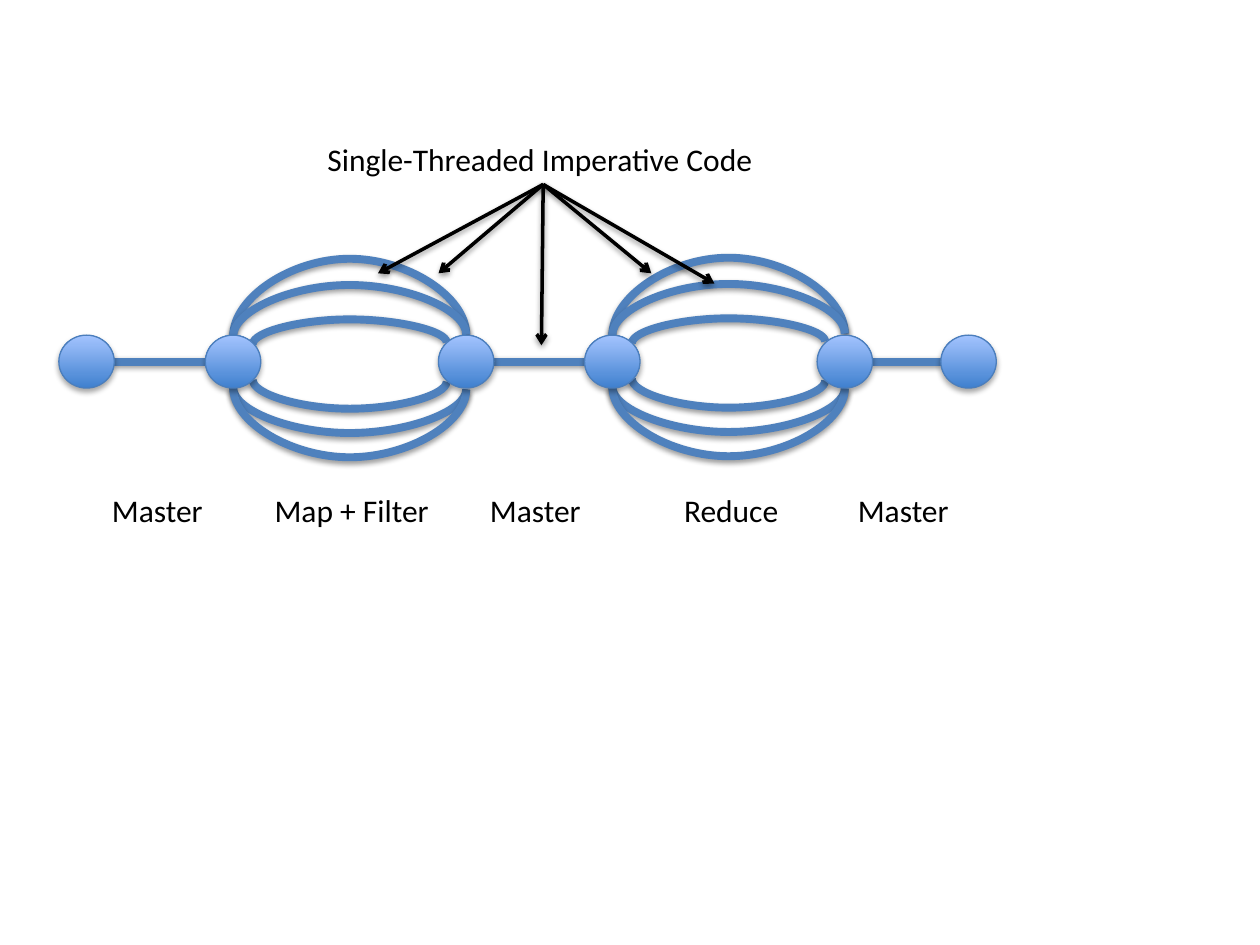
from lxml import etree
from pptx import Presentation
from pptx.dml.color import RGBColor
from pptx.enum.shapes import MSO_CONNECTOR, MSO_SHAPE
from pptx.oxml.ns import qn
from pptx.util import Pt

STRAIGHT = MSO_CONNECTOR.STRAIGHT
CURVE = MSO_CONNECTOR.CURVE
OVAL = MSO_SHAPE.OVAL

FONT = "Calibri"
BLACK = "000000"
LINK_BLUE = "4F81BD"
NODE_LINE = "4B7EBC"
NODE_BOTTOM, NODE_TOP = "3F80CE", "A4C4FF"

RADIUS_X, RADIUS_Y = 15.84, 15.12
DIAGONAL = 0.707  # where a 45 degree line leaves a node
CENTRE_Y = 206.64
NODE_CENTRES = (49.5, 133.2, 266.4, 349.9, 482.8, 553.5)
BUNDLES = ((133.2, 266.4, 206.9), (349.9, 482.8, 206.3))  # left, right, centre y
LINKS = ((0, 1), (2, 3), (4, 5))
UPPER_DEPTHS, LOWER_DEPTHS = (44.75, 29.63), (26.14, 40.09)
UPPER_INNER_DEPTH, LOWER_INNER_DEPTH = 14.29, 16.61

LABEL_TOP = 277.2
LABELS = (("Master", 56.9, 67.7), ("Map + Filter", 149.8, 103.7),
          ("Master", 272.9, 67.7), ("Reduce", 383.8, 69.1),
          ("Master", 483.1, 67.7))  # text, left, width
ARROW_START = (310.4, 105.4)
ARROW_TIPS = ((309.4, 197.3), (372.2, 156.2), (408.2, 162),
              (250.6, 156.2), (216, 156.2))


def color(hex_string):
    return RGBColor.from_string(hex_string)


def add_shadow(shape, distance, opacity):
    """Give the shape a soft shadow that falls straight down."""
    effects = etree.SubElement(shape.element.spPr, qn("a:effectLst"))
    shadow = etree.SubElement(
        effects, qn("a:outerShdw"), blurRad=str(Pt(3.15)),
        dist=str(Pt(distance)), dir="5400000", rotWithShape="0")
    black = etree.SubElement(shadow, qn("a:srgbClr"), val=BLACK)
    etree.SubElement(black, qn("a:alpha"), val=str(opacity * 1000))


def add_line(slide, kind, start, end, line_color, width):
    ends = [Pt(value) for value in (*start, *end)]
    connector = slide.shapes.add_connector(kind, *ends)
    connector.line.color.rgb = color(line_color)
    connector.line.width = Pt(width)
    add_shadow(connector, 1.6, 38)
    return connector


def add_arc(slide, left, right, y, depth, upward):
    """Bow a curve from left to right; its box is one point wide and turned."""
    middle, half_span = (left + right) / 2, (right - left) / 2
    arc = add_line(slide, CURVE, (middle - 0.5, y - half_span),
                   (middle + 0.5, y + half_span), LINK_BLUE, 4.5)
    properties = arc.element.spPr
    transform = properties.find(qn("a:xfrm"))
    transform.set("rot", str((90 if upward else 270) * 60000))
    transform.set("flipH", "1")
    if upward:
        transform.set("flipV", "1")
    adjustments = properties.find(qn("a:prstGeom")).get_or_add_avLst()
    etree.SubElement(adjustments, qn("a:gd"), name="adj1",
                     fmla=f"val {round(depth * 100000)}")


def add_bundle(slide, left, right, centre_y):
    """Draw the six parallel threads between two nodes."""
    inset, rise = RADIUS_X * DIAGONAL, RADIUS_Y * DIAGONAL
    for depth in UPPER_DEPTHS:
        add_arc(slide, left, right, centre_y - RADIUS_Y, depth, True)
    for depth in LOWER_DEPTHS:
        add_arc(slide, left, right, centre_y + RADIUS_Y, depth, False)
    add_arc(slide, left + inset, right - inset, centre_y - rise,
            UPPER_INNER_DEPTH, True)
    add_arc(slide, left + inset, right - inset, centre_y + rise,
            LOWER_INNER_DEPTH, False)


def add_node(slide, centre_x):
    node = slide.shapes.add_shape(
        OVAL, Pt(centre_x - RADIUS_X), Pt(CENTRE_Y - RADIUS_Y),
        Pt(2 * RADIUS_X), Pt(2 * RADIUS_Y))
    node.fill.gradient()
    node.fill.gradient_angle = 90
    for stop, stop_color in zip(node.fill.gradient_stops, (NODE_BOTTOM, NODE_TOP)):
        stop.color.rgb = color(stop_color)
    node.line.color.rgb = color(NODE_LINE)
    node.line.width = Pt(0.75)
    add_shadow(node, 1.8, 35)


def add_label(slide, text, left, top, width):
    box = slide.shapes.add_textbox(Pt(left), Pt(top), Pt(width), Pt(29))
    box.text_frame.word_wrap = False
    paragraph = box.text_frame.paragraphs[0]
    paragraph.text = text
    paragraph.font.name = FONT
    paragraph.font.size = Pt(18)
    paragraph.font.color.rgb = color(BLACK)


def add_arrow(slide, start, tip):
    arrow = add_line(slide, STRAIGHT, start, tip, BLACK, 2)
    outline = arrow.element.spPr.find(qn("a:ln"))
    etree.SubElement(outline, qn("a:tailEnd"), type="arrow")


def main():
    presentation = Presentation()
    presentation.slide_width, presentation.slide_height = Pt(720), Pt(540)
    slide = presentation.slides.add_slide(presentation.slide_layouts[6])

    for first, second in LINKS:
        add_line(slide, STRAIGHT, (NODE_CENTRES[first] + RADIUS_X, CENTRE_Y),
                 (NODE_CENTRES[second] - RADIUS_X, CENTRE_Y), LINK_BLUE, 4.5)
    for bundle in BUNDLES:
        add_bundle(slide, *bundle)
    for centre_x in NODE_CENTRES:
        add_node(slide, centre_x)
    for text, left, width in LABELS:
        add_label(slide, text, left, LABEL_TOP, width)
    add_label(slide, "Single-Threaded Imperative Code", 180, 76.3, 260.6)
    for tip in ARROW_TIPS:
        add_arrow(slide, ARROW_START, tip)

    presentation.save("out.pptx")


if __name__ == "__main__":
    main()
